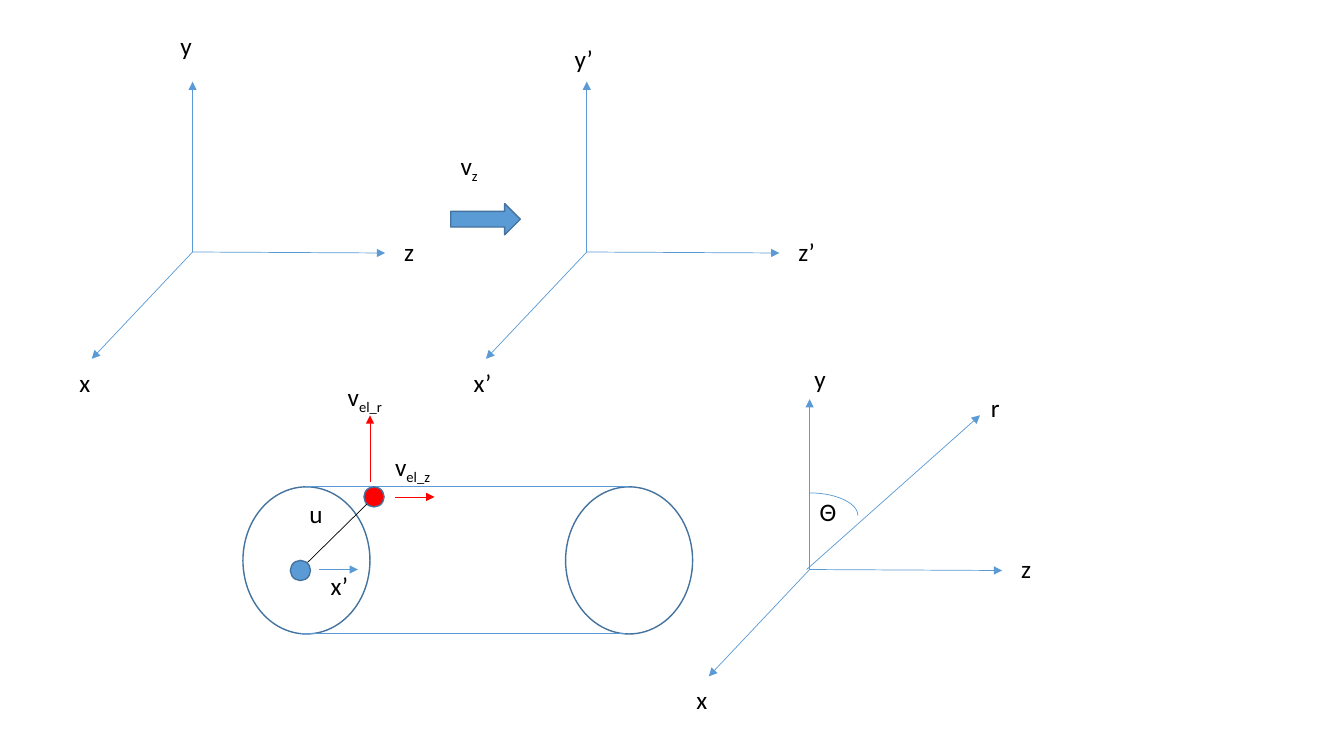
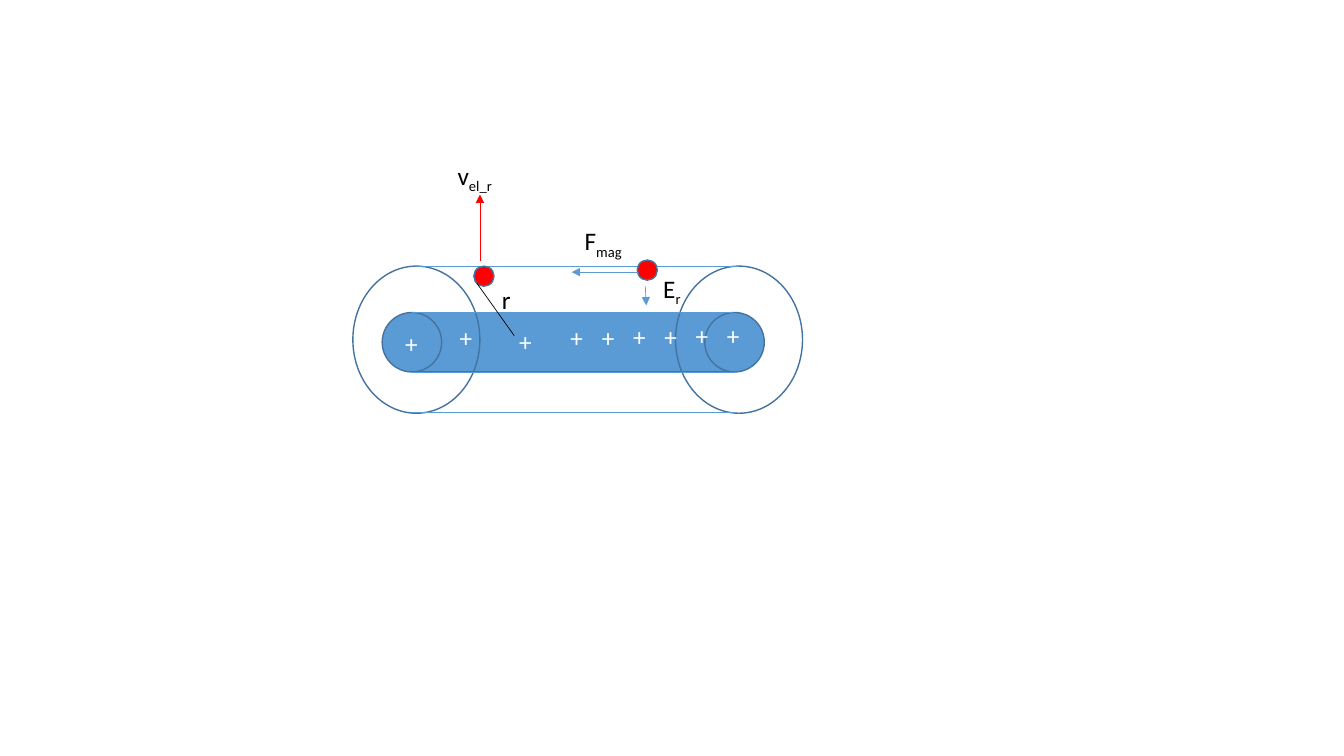
from dataclasses import dataclass

from lxml import etree
from pptx import Presentation
from pptx import util as u
from pptx.dml.color import RGBColor
from pptx.enum import shapes, text
from pptx.oxml.ns import qn


@dataclass(frozen=True)
class Theme:
    blue: str = "5B9BD5"
    outline: str = "43739E"
    red: str = "FF0000"
    black: str = "000000"
    white: str = "FFFFFF"
    font: str = "Calibri"
    label_pt: int = 18
    line_pt: float = 0.5
    outline_pt: int = 1
    subscript: int = -25000


THEME = Theme()
PX = 9144
SLIDE = (1333, 750)
LABEL_W, LABEL_H = 44, 40
WIDE_LABEL_W, PLUS_W = 70, 38
DOT = 20
RIM_W, RIM_H, RIM_GAP = 126, 146, 320
CORE = 59
AXIS_TIPS = [(0, -169), (191, 1), (-100, 106)]

FRAMES = [
    ((191, 250), [("y", -22, -225), ("z", 200, -20), ("x", -122, 109)]),
    ((582, 250), [("y’", -22, -212), ("z’", 200, -20), ("x’", -122, 109)]),
]
POLAR_FRAME = ((803, 565), [("y", -5, -209), ("z", 200, -21), ("x", -122, 109),
                            ("r", 170, -181), ("Θ", 0, -78)])
POLAR_RADIUS = ((800, 565), (972, 412))
POLAR_ANGLE = (755, 489, 96, 45)

MOTION_ARROW = (447, 202, 69, 31)
MOTION_LABEL = ("v", 447, 144, "z")

MOVING_DRUM = (241, 483)
MOVING_CENTRE = (288, 556)
MOVING_LINES = [
    ((316, 565), (355, 565), THEME.blue, True),
    ((392, 493), (431, 493), THEME.red, True),
    ((305, 558), (364, 500), THEME.black, False),
]
MOVING_LABELS = [("v", 382, 443, "el_z", WIDE_LABEL_W), ("x’", 318, 561), ("u", 297, 489)]

CHARGED_DRUM = (350, 264)
CORE_LEFT, CORE_TOP = 379, 310
FIELD_ELECTRON = (632, 258)
FIELD_LINES = [
    ((510, 333), (473, 281), THEME.black, False),
    ((633, 270), (567, 270), THEME.blue, True),
    ((640, 284), (641, 303), THEME.blue, True),
]
FIELD_LABELS = [("r", 488, 277, "", WIDE_LABEL_W), ("F", 570, 219, "mag", WIDE_LABEL_W),
                ("E", 648, 266, "r", WIDE_LABEL_W)]
PLUSES = [(392, 321), (446, 315), (505, 319)]
PLUSES += [(556 + 31 * i, 315 - i // 2) for i in range(6)]


def rgb(color):
    return RGBColor.from_string(color)


def emu(values):
    return [u.Emu(value * PX) for value in values]


def add_line(parent, start, end, color=THEME.blue, head=False):
    line = parent.add_connector(shapes.MSO_CONNECTOR.STRAIGHT, *emu(start + end))
    line.line.color.rgb = rgb(color)
    line.line.width = u.Pt(THEME.line_pt)
    properties = line.element.spPr
    if head:
        etree.SubElement(properties.find(qn("a:ln")), qn("a:tailEnd"), type="triangle")
    etree.SubElement(properties, qn("a:effectLst"))


def add_figure(parent, preset, box, fill=None, color=THEME.outline, width=THEME.outline_pt):
    figure = parent.add_shape(preset, *emu(box))
    figure.shadow.inherit = False
    if fill:
        figure.fill.solid()
        figure.fill.fore_color.rgb = rgb(fill)
    else:
        figure.fill.background()
    figure.line.color.rgb = rgb(color)
    figure.line.width = u.Pt(width)


def add_label(parent, name, left, top, subscript="", width=LABEL_W, color=THEME.black):
    frame = parent.add_textbox(*emu((left, top, width, LABEL_H))).text_frame
    frame.word_wrap = True
    frame.auto_size = text.MSO_AUTO_SIZE.SHAPE_TO_FIT_TEXT
    frame.text = name
    paragraph = frame.paragraphs[0]
    if subscript:
        index = paragraph.add_run()
        index.text = subscript
        index.font._element.set("baseline", str(THEME.subscript))
    for run in paragraph.runs:
        run.font.name = THEME.font
        run.font.size = u.Pt(THEME.label_pt)
        run.font.color.rgb = rgb(color)


def add_dot(parent, position, fill):
    add_figure(parent, shapes.MSO_SHAPE.OVAL, position + (DOT, DOT), fill)


def add_frame(parent, origin, names):
    x, y = origin
    for dx, dy in AXIS_TIPS:
        add_line(parent, origin, (x + dx, y + dy), head=True)
    for name, dx, dy in names:
        add_label(parent, name, x + dx, y + dy)


def add_drum(parent, corner):
    left, top = corner
    for rim_left in (left + RIM_GAP, left):
        add_figure(parent, shapes.MSO_SHAPE.OVAL, (rim_left, top, RIM_W, RIM_H))
    for dx, y in ((58, top + RIM_H - 1), (62, top)):
        add_line(parent, (left + dx, y), (left + dx + RIM_GAP + 1, y))
    add_dot(parent, (left + 120, top), THEME.red)
    add_line(parent, (left + 126, top - 5), (left + 126, top - 71), THEME.red, True)
    add_label(parent, "v", left + 94, top - 110, "el_r", WIDE_LABEL_W)


def add_details(parent, lines, labels):
    for line in lines:
        add_line(parent, *line)
    for label in labels:
        add_label(parent, *label)


def build_frames(canvas):
    for origin, names in FRAMES:
        add_frame(canvas, origin, names)
    add_figure(canvas, shapes.MSO_SHAPE.RIGHT_ARROW, MOTION_ARROW, THEME.blue)
    add_label(canvas, *MOTION_LABEL)

    drum = canvas.add_group_shape().shapes
    add_drum(drum, MOVING_DRUM)
    add_dot(drum, MOVING_CENTRE, THEME.blue)
    add_details(drum, MOVING_LINES, MOVING_LABELS)

    polar = canvas.add_group_shape().shapes
    add_frame(polar, *POLAR_FRAME)
    add_line(polar, *POLAR_RADIUS, head=True)
    add_figure(polar, shapes.MSO_SHAPE.ARC, POLAR_ANGLE, None, THEME.blue, THEME.line_pt)


def build_charged_drum(canvas):
    drum = canvas.add_group_shape().shapes
    middle = CORE_LEFT + CORE // 2 + 1
    add_figure(drum, shapes.MSO_SHAPE.RECTANGLE, (middle, CORE_TOP, 318, CORE), THEME.blue)
    add_drum(drum, CHARGED_DRUM)
    for left in (CORE_LEFT, CORE_LEFT + RIM_GAP):
        add_figure(drum, shapes.MSO_SHAPE.OVAL, (left, CORE_TOP, CORE, CORE), THEME.blue)
    for y in (CORE_TOP, CORE_TOP + CORE):
        add_line(drum, (middle, y), (middle + 318, y))
    for left, top in PLUSES:
        add_label(drum, "+", left, top, width=PLUS_W, color=THEME.white)
    add_dot(drum, FIELD_ELECTRON, THEME.red)
    add_details(drum, FIELD_LINES, FIELD_LABELS)


def main():
    deck = Presentation()
    deck.slide_width, deck.slide_height = emu(SLIDE)
    for build in (build_frames, build_charged_drum):
        build(deck.slides.add_slide(deck.slide_layouts[6]).shapes)
    deck.save("out.pptx")


if __name__ == "__main__":
    main()
